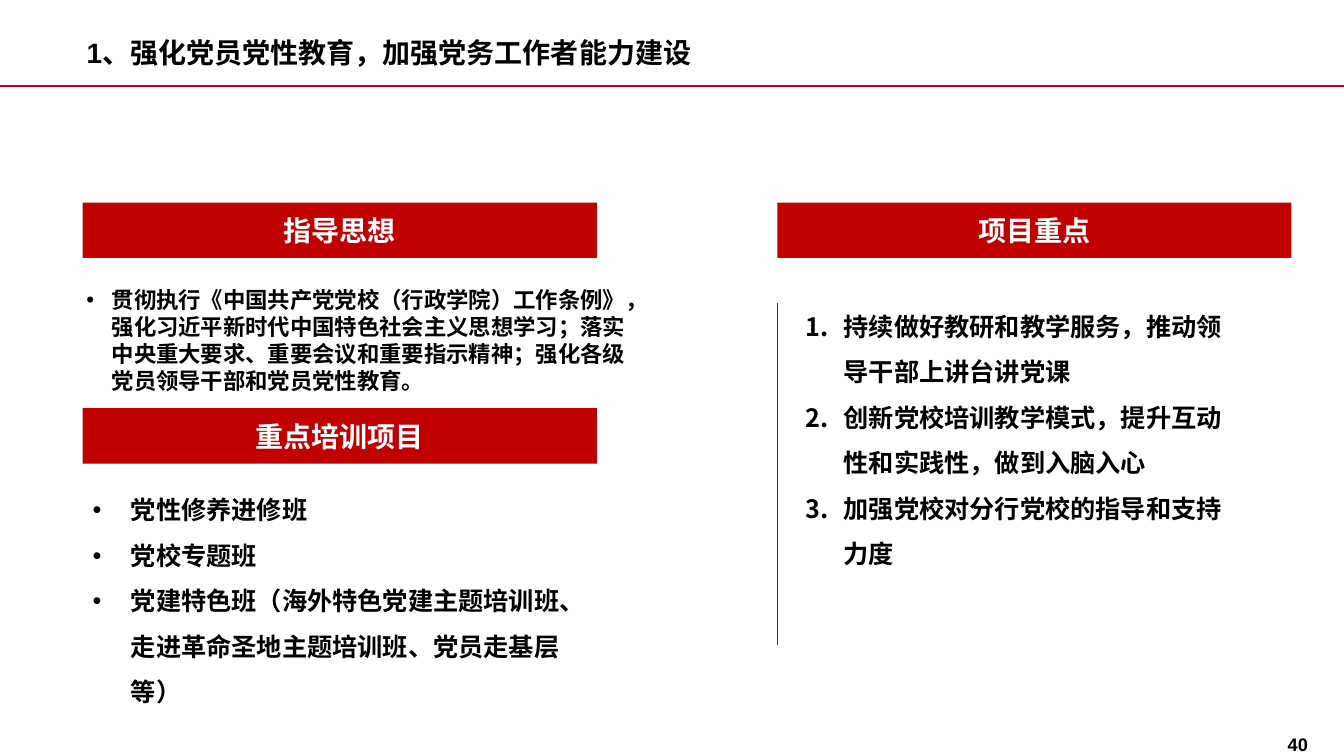
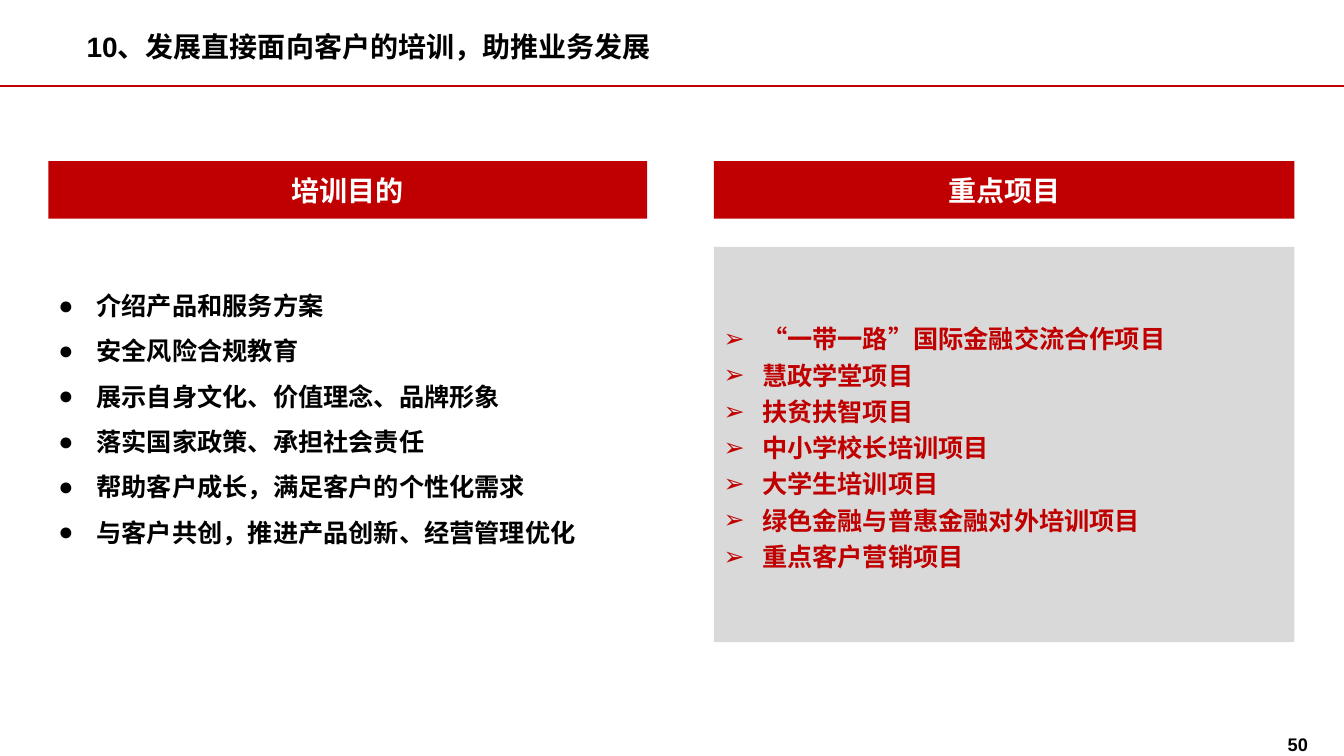
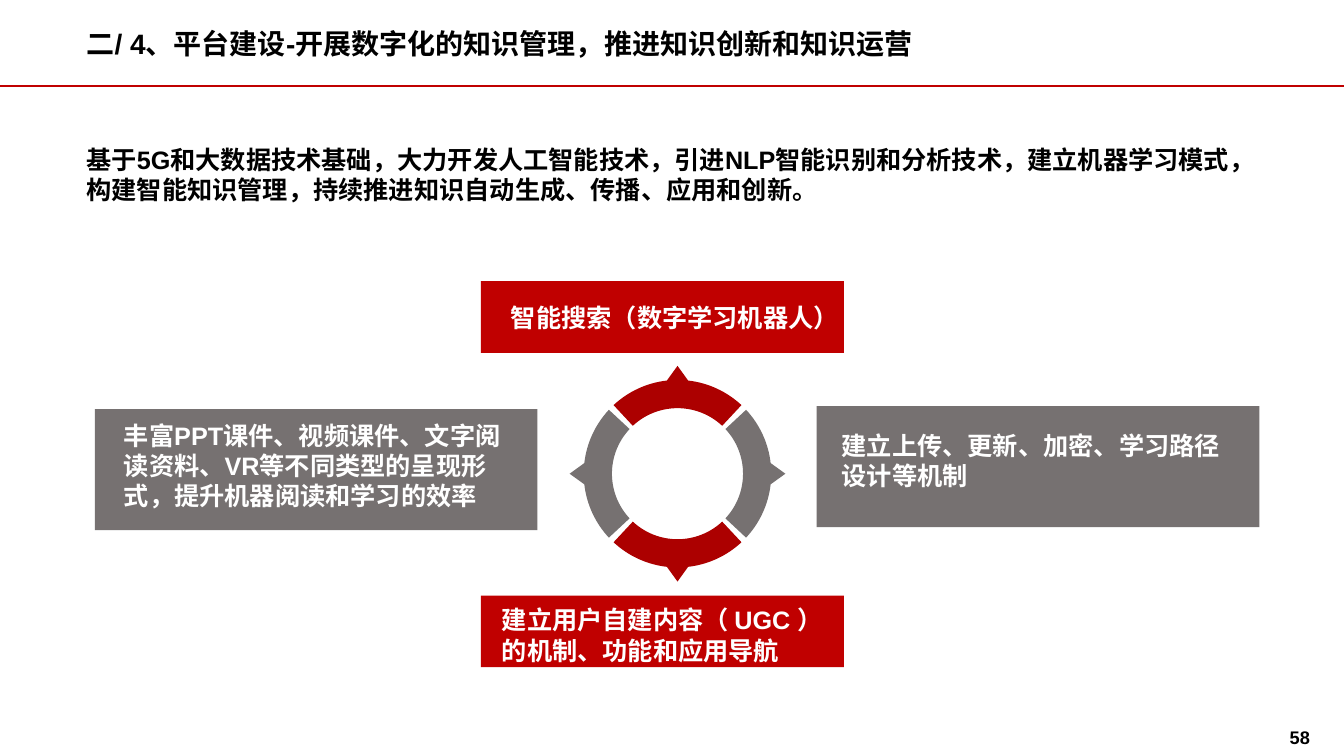
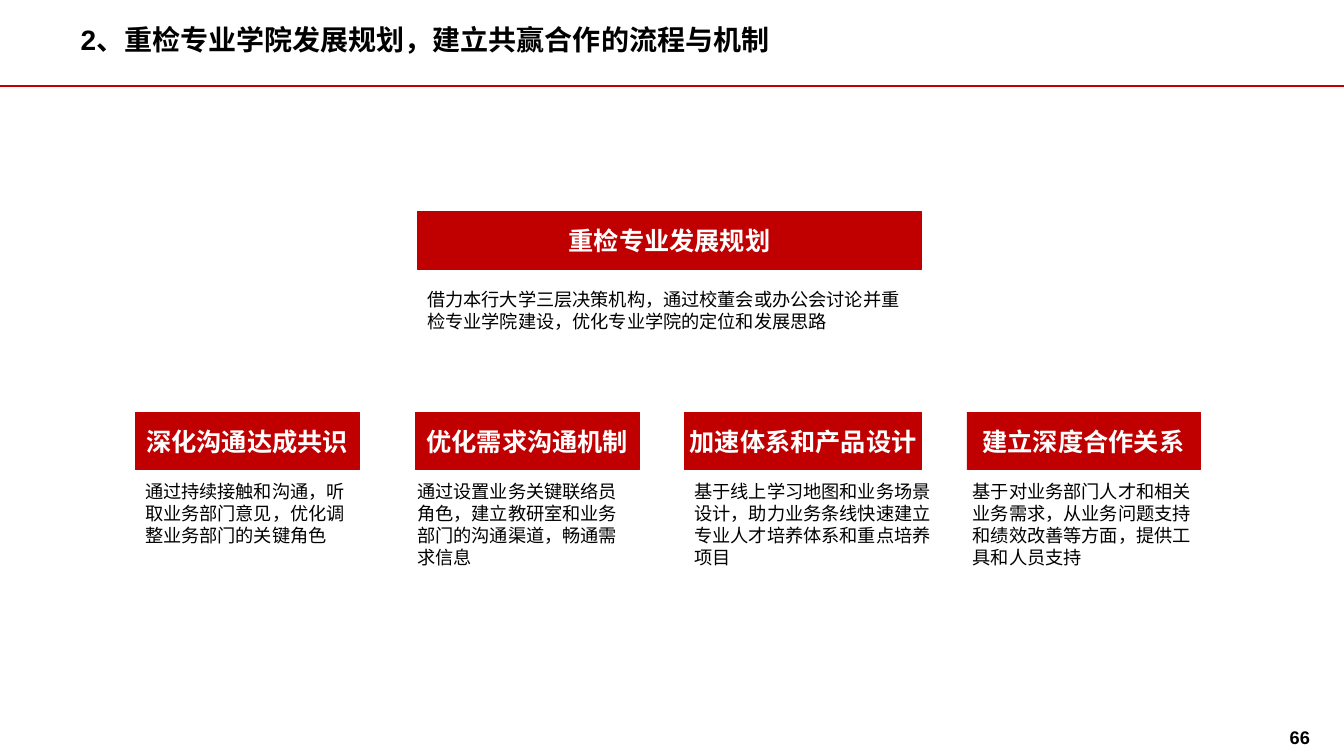
import math
from lxml import etree
from pptx import Presentation
from pptx import util as u
from pptx.dml.color import RGBColor
from pptx.enum import shapes, text
from pptx.oxml.ns import qn

COLORS = {
    "red": "C00000",
    "deep_red": "AC0000",
    "gray": "767171",
    "pale": "D9D9D9",
    "white": "FFFFFF",
    "black": "000000",
}
FONT = "Arial"
WIDTH, HEIGHT = 13.33, 7.5
LIST_INDENT = 0.38


def rgb(name):
    return RGBColor.from_string(COLORS[name])


def add_bullet(paragraph, mark, indent):
    props = paragraph._p.get_or_add_pPr()
    props.set("marL", str(u.Inches(indent)))
    props.set("indent", str(-u.Inches(indent)))
    etree.SubElement(props, qn("a:buFont")).set("typeface", FONT)
    if mark == "1.":
        etree.SubElement(props, qn("a:buAutoNum")).set("type", "arabicPeriod")
    else:
        etree.SubElement(props, qn("a:buChar")).set("char", mark)


def write(frame, lines, size, color="black", bold=True, align=text.PP_ALIGN.LEFT,
          mark=None, indent=LIST_INDENT, spacing=None):
    for index, line in enumerate(lines):
        paragraph = frame.add_paragraph() if index else frame.paragraphs[0]
        paragraph.text = line
        paragraph.alignment = align
        if spacing:
            paragraph.line_spacing = spacing
        if mark:
            add_bullet(paragraph, mark, indent)
        paragraph.font.name = FONT
        paragraph.font.size = u.Pt(size)
        paragraph.font.bold = bold
        paragraph.font.color.rgb = rgb(color)


def add_text(slide, box, lines, size, anchor=text.MSO_ANCHOR.TOP, **style):
    frame = slide.shapes.add_textbox(*map(u.Inches, box)).text_frame
    frame.word_wrap = True
    frame.vertical_anchor = anchor
    write(frame, lines, size, **style)


def paint(shape, fill):
    shape.shadow.inherit = False
    shape.fill.solid()
    shape.fill.fore_color.rgb = rgb(fill)
    shape.line.fill.background()


def add_panel(slide, box, fill):
    panel = slide.shapes.add_shape(shapes.MSO_SHAPE.RECTANGLE, *map(u.Inches, box))
    paint(panel, fill)
    panel.text_frame.vertical_anchor = text.MSO_ANCHOR.MIDDLE
    return panel


def add_band(slide, box, heading):
    band = add_panel(slide, box, "red")
    write(band.text_frame, [heading], 20, "white", align=text.PP_ALIGN.CENTER)


def add_outlined_band(slide, box, heading):
    band = add_panel(slide, box, "red")
    band.line.color.rgb = rgb("red")
    band.line.width = u.Pt(0.25)
    frame = band.text_frame
    frame.word_wrap = False
    frame.margin_left = frame.margin_right = u.Inches(0.05)
    write(frame, [heading], 18, "white", align=text.PP_ALIGN.CENTER)


def add_rule(slide, start, end, weight):
    ends = [u.Inches(length) for length in (*start, *end)]
    rule = slide.shapes.add_connector(shapes.MSO_CONNECTOR.STRAIGHT, *ends)
    rule.line.color.rgb = rgb("red")
    rule.line.width = u.Pt(weight)
    etree.SubElement(rule._element.spPr, qn("a:effectLst"))


def new_slide(prs, title, title_at, number, number_at):
    slide = prs.slides.add_slide(prs.slide_layouts[6])
    add_rule(slide, (0, 0.85), (WIDTH, 0.85), 1.5)
    add_text(slide, (*title_at, 10.12, 0.44), [title], 20)
    add_text(slide, (*number_at, 2.78, 0.19), [number], 13, align=text.PP_ALIGN.RIGHT)
    return slide


def polar_point(center, angle, radius):
    turn = math.radians(angle)
    return (u.Inches(center[0] + radius * math.cos(turn)),
            u.Inches(center[1] + radius * math.sin(turn)))


def arc_controls(center, start, end, radius):
    reach = 4 / 3 * math.tan(math.radians(end - start) / 4)
    lean = math.degrees(math.atan(reach))
    far = radius * math.hypot(1, reach)
    return [polar_point(center, start + lean, far), polar_point(center, end - lean, far)]


def bend(segment, controls, origin):
    curve = etree.Element(qn("a:cubicBezTo"))
    for x, y in controls:
        control = etree.SubElement(curve, qn("a:pt"))
        control.set("x", str(x - origin[0]))
        control.set("y", str(y - origin[1]))
    curve.append(segment[0])
    segment.getparent().replace(segment, curve)


def add_ring_piece(slide, center, direction, fill):
    outer, inner, tip, half_angle, tip_angle = 0.93, 0.65, 1.07, 43, 6.5
    corners = [(-half_angle, outer), (-tip_angle, outer), (0, tip), (tip_angle, outer),
               (half_angle, outer), (half_angle, inner), (-half_angle, inner)]
    corners = [(direction + angle, radius) for angle, radius in corners]
    points = [polar_point(center, *corner) for corner in corners]
    builder = slide.shapes.build_freeform(*points[0])
    builder.add_line_segments(points[1:], close=True)
    piece = builder.convert_to_shape()
    segments = list(piece._element.iter(qn("a:lnTo")))
    for arc in (0, 3, 5):
        (start, radius), (end, _) = corners[arc:arc + 2]
        bend(segments[arc], arc_controls(center, start, end, radius), (piece.left, piece.top))
    paint(piece, fill)


def add_ring(slide, center):
    for quarter, fill in enumerate(("gray", "deep_red", "gray", "deep_red")):
        add_ring_piece(slide, center, 90 * quarter, fill)


def add_callout(slide, box, fill, label, offset, label_width):
    left, top, width, height = box
    add_panel(slide, box, fill)
    add_text(slide, (left + offset[0], top + offset[1], label_width, height - offset[1]),
             [label], 18, color="white")


def add_topic(slide, box, heading, detail, detail_shift, detail_width, gap):
    left, top, width, height = box
    add_outlined_band(slide, box, heading)
    add_text(slide, (left + detail_shift, top + height + gap, detail_width, 0.98),
             [detail], 13, bold=False)


def build_party_education(prs):
    slide = new_slide(prs, "1、强化党员党性教育，加强党务工作者能力建设", (0.76, 0.3),
                      "40", (10.29, 7.23))
    left, right, top, band_width, band_height = 0.82, 7.71, 2.01, 5.1, 0.55
    add_band(slide, (left, top, band_width, band_height), "指导思想")
    add_band(slide, (left, 4.05, band_width, band_height), "重点培训项目")
    add_band(slide, (right, top, band_width, band_height), "项目重点")
    add_rule(slide, (right, 3.01), (right, 6.4), 0.75)
    add_text(slide, (0.76, 2.79, 5.57, 1.41), [
        "贯彻执行《中国共产党党校（行政学院）工作条例》，强化习近平新时代中国特色社会主义思想学习；"
        "落实中央重大要求、重要会议和重要指示精神；强化各级党员领导干部和党员党性教育。",
    ], 16, mark="•", indent=0.25)
    add_text(slide, (left, 4.71, 5.23, 1.86), [
        "党性修养进修班",
        "党校专题班",
        "党建特色班（海外特色党建主题培训班、走进革命圣地主题培训班、党员走基层等）",
    ], 18, mark="•", spacing=1.5)
    add_text(slide, (7.89, 2.89, 4.47, 2.77), [
        "持续做好教研和教学服务，推动领导干部上讲台讲党课",
        "创新党校培训教学模式，提升互动性和实践性，做到入脑入心",
        "加强党校对分行党校的指导和支持力度",
    ], 18, mark="1.", spacing=1.5)


def build_customer_training(prs):
    slide = new_slide(prs, "10、发展直接面向客户的培训，助推业务发展", (0.76, 0.24),
                      "50", (10.29, 7.23))
    left, left_width, right, right_width = 0.48, 5.94, 7.08, 5.76
    add_band(slide, (left, 1.6, left_width, 0.57), "培训目的")
    add_band(slide, (right, 1.6, right_width, 0.57), "重点项目")
    add_text(slide, (left, 2.68, left_width, 2.77), [
        "介绍产品和服务方案",
        "安全风险合规教育",
        "展示自身文化、价值理念、品牌形象",
        "落实国家政策、承担社会责任",
        "帮助客户成长，满足客户的个性化需求",
        "与客户共创，推进产品创新、经营管理优化",
    ], 18, mark="●", spacing=1.5)
    projects = add_panel(slide, (right, 2.45, right_width, 3.92), "pale")
    write(projects.text_frame, [
        "“一带一路”国际金融交流合作项目",
        "慧政学堂项目",
        "扶贫扶智项目",
        "中小学校长培训项目",
        "大学生培训项目",
        "绿色金融与普惠金融对外培训项目",
        "重点客户营销项目",
    ], 18, "red", mark="➢", spacing=1.2)


def build_knowledge_platform(prs):
    slide = new_slide(prs, "二/ 4、平台建设-开展数字化的知识管理，推进知识创新和知识运营",
                      (0.76, 0.21), "58", (10.31, 7.16))
    add_text(slide, (0.76, 1.18, 11.6, 1.1), [
        "基于5G和大数据技术基础，大力开发人工智能技术，引进NLP智能识别和分析技术，建立机器学习模式，"
        "构建智能知识管理，持续推进知识自动生成、传播、应用和创新。",
    ], 18, anchor=text.MSO_ANCHOR.MIDDLE)
    add_callout(slide, (4.77, 2.79, 3.6, 0.71), "red",
                "智能搜索（数字学习机器人）", (0.2, 0.16), 3.6)
    add_callout(slide, (8.1, 4.03, 4.39, 1.2), "gray",
                "建立上传、更新、加密、学习路径设计等机制", (0.15, 0.19), 4.02)
    add_callout(slide, (4.77, 5.91, 3.6, 0.71), "red",
                "建立用户自建内容（ UGC ）的机制、功能和应用导航", (0.11, 0.04), 3.57)
    add_callout(slide, (0.94, 4.06, 4.39, 1.2), "gray",
                "丰富PPT课件、视频课件、文字阅读资料、VR等不同类型的呈现形式，提升机器阅读和学习的效率",
                (0.19, 0.06), 3.96)
    add_ring(slide, (6.72, 4.7))


def build_college_plan(prs):
    slide = new_slide(prs, "2、重检专业学院发展规划，建立共赢合作的流程与机制", (0.7, 0.17),
                      "66", (10.31, 7.16))
    add_topic(slide, (4.14, 2.1, 5, 0.57), "重检专业发展规划",
              "借力本行大学三层决策机构，通过校董会或办公会讨论并重检专业学院建设，优化专业学院的定位和发展思路",
              0, 5, 0.14)
    steps = [
        (1.34, 2.22, 0, 2.22, "深化沟通达成共识",
         "通过持续接触和沟通，听取业务部门意见，优化调整业务部门的关键角色"),
        (4.12, 2.22, -0.08, 2.33, "优化需求沟通机制",
         "通过设置业务关键联络员角色，建立教研室和业务部门的沟通渠道，畅通需求信息"),
        (6.79, 2.35, 0, 2.54, "加速体系和产品设计",
         "基于线上学习地图和业务场景设计，助力业务条线快速建立专业人才培养体系和重点培养项目"),
        (9.59, 2.31, -0.04, 2.45, "建立深度合作关系",
         "基于对业务部门人才和相关业务需求，从业务问题支持和绩效改善等方面，提供工具和人员支持"),
    ]
    for left, width, shift, detail_width, heading, detail in steps:
        add_topic(slide, (left, 4.09, width, 0.57), heading, detail, shift, detail_width, 0.06)


def main():
    prs = Presentation()
    prs.slide_width, prs.slide_height = u.Inches(WIDTH), u.Inches(HEIGHT)
    build_party_education(prs)
    build_customer_training(prs)
    build_knowledge_platform(prs)
    build_college_plan(prs)
    prs.save("out.pptx")


if __name__ == "__main__":
    main()
